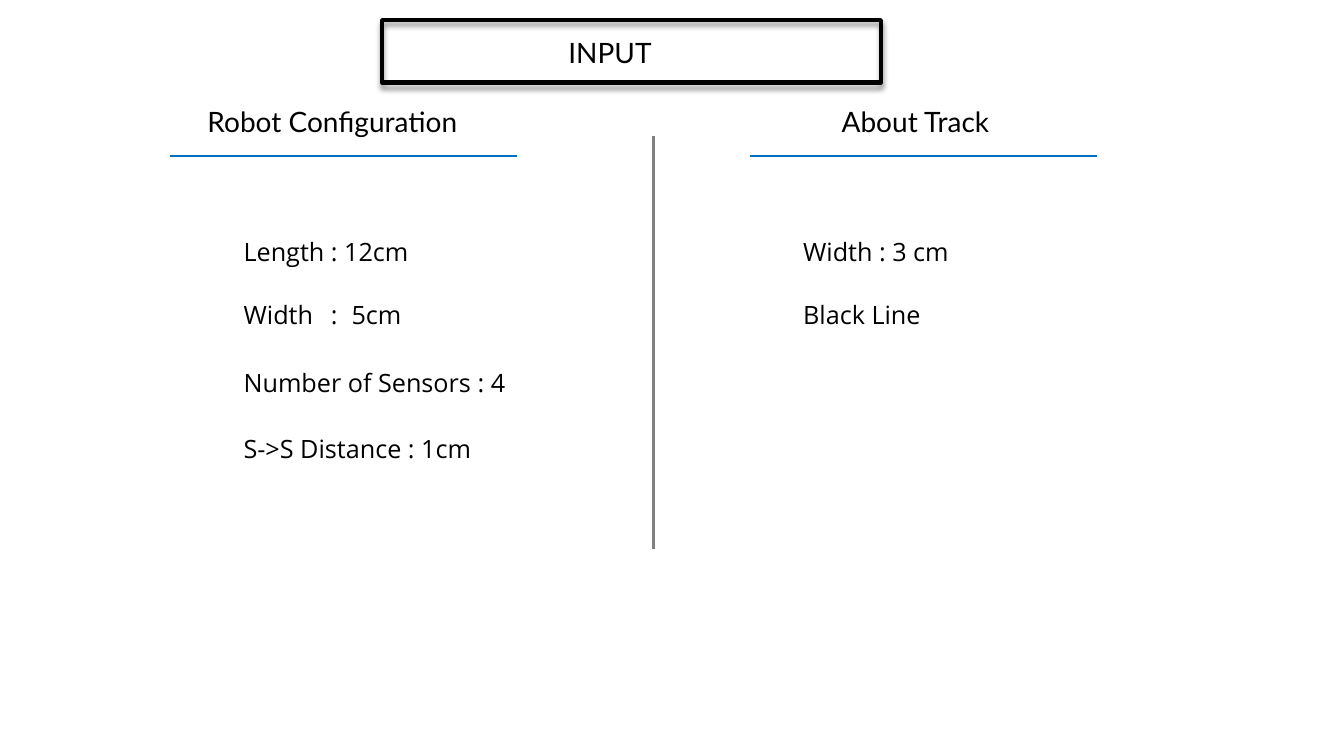
from lxml import etree
from pptx import Presentation
from pptx.dml.color import RGBColor
from pptx.enum.shapes import MSO_CONNECTOR, MSO_SHAPE
from pptx.enum.text import MSO_ANCHOR, PP_ALIGN
from pptx.oxml import parse_xml
from pptx.oxml.ns import nsdecls, qn
from pptx.util import Cm, Pt

BLACK = RGBColor(0x00, 0x00, 0x00)
BLUE = RGBColor(0x00, 0x70, 0xC0)
GRAY = RGBColor(0x80, 0x80, 0x80)

deck = Presentation()
deck.slide_width, deck.slide_height = Cm(33.87), Cm(19.05)
page = deck.slides.add_slide(deck.slide_layouts[5])


def write(box, left, top, width, height, text, font, size):
    box.left, box.top, box.width, box.height = Cm(left), Cm(top), Cm(width), Cm(height)
    frame = box.text_frame
    frame.word_wrap = True
    frame.vertical_anchor = MSO_ANCHOR.TOP
    para = frame.paragraphs[0]
    para.text = text
    para.alignment = PP_ALIGN.LEFT
    if "\t" in text:
        # Tab stops for the colon and the value
        para._p.get_or_add_pPr().append(parse_xml(
            f'<a:tabLst {nsdecls("a")}><a:tab pos="{Cm(2.2)}" algn="l"/>'
            f'<a:tab pos="{Cm(2.72)}" algn="l"/></a:tabLst>'))
    para.font.name = font
    para.font.size = Pt(size)
    para.font.color.rgb = BLACK


def draw_line(x1, y1, x2, y2, color, weight):
    line = page.shapes.add_connector(
        MSO_CONNECTOR.STRAIGHT, Cm(x1), Cm(y1), Cm(x2), Cm(y2))
    line.line.color.rgb = color
    line.line.width = Pt(weight)
    etree.SubElement(line._element.spPr, qn("a:effectLst"))


# Title and its shadowed frame
write(page.shapes.title, 14.07, 0.76, 11.81, 1.12, "INPUT", "Lato", 20)
title_frame = page.shapes.add_shape(
    MSO_SHAPE.RECTANGLE, Cm(9.63), Cm(0.51), Cm(12.57), Cm(1.57))
title_frame.fill.background()
title_frame.line.color.rgb = BLACK
title_frame.line.width = Pt(3)
title_frame.shadow.inherit = False
effects = title_frame._element.spPr.find(qn("a:effectLst"))
effects.append(parse_xml(
    f'<a:outerShdw {nsdecls("a")} blurRad="{Pt(4)}" dist="{Pt(3)}" dir="5400000" '
    'rotWithShape="0"><a:srgbClr val="000000"><a:alpha val="40000"/></a:srgbClr>'
    '</a:outerShdw>'))

# Two columns: heading, rule and items
ROW_TOPS = [5.82, 7.42, 9.12, 10.8]
columns = [
    ("Robot Configuration", 4.98, 4.29, 5.89,
     ["Length : 12cm", "Width\t:\t5cm", "Number of Sensors : 4", "S->S Distance : 1cm"]),
    ("About Track", 20.96, 18.9, 19.99, ["Width : 3 cm", "Black Line"]),
]
for heading, heading_left, rule_left, item_left, items in columns:
    box = page.shapes.add_textbox(0, 0, 0, 0)
    write(box, heading_left, 2.51, 9.3, 1.12, heading, "Lato", 20)
    draw_line(rule_left, 3.94, rule_left + 8.74, 3.94, BLUE, 1.5)
    for top, item in zip(ROW_TOPS, items):
        box = page.shapes.add_textbox(0, 0, 0, 0)
        write(box, item_left, top, 9.58, 1.02, item, "Open Sans", 18)

# Divider between the columns
draw_line(16.46, 3.43, 16.46, 13.84, GRAY, 2.25)

deck.save("out.pptx")
